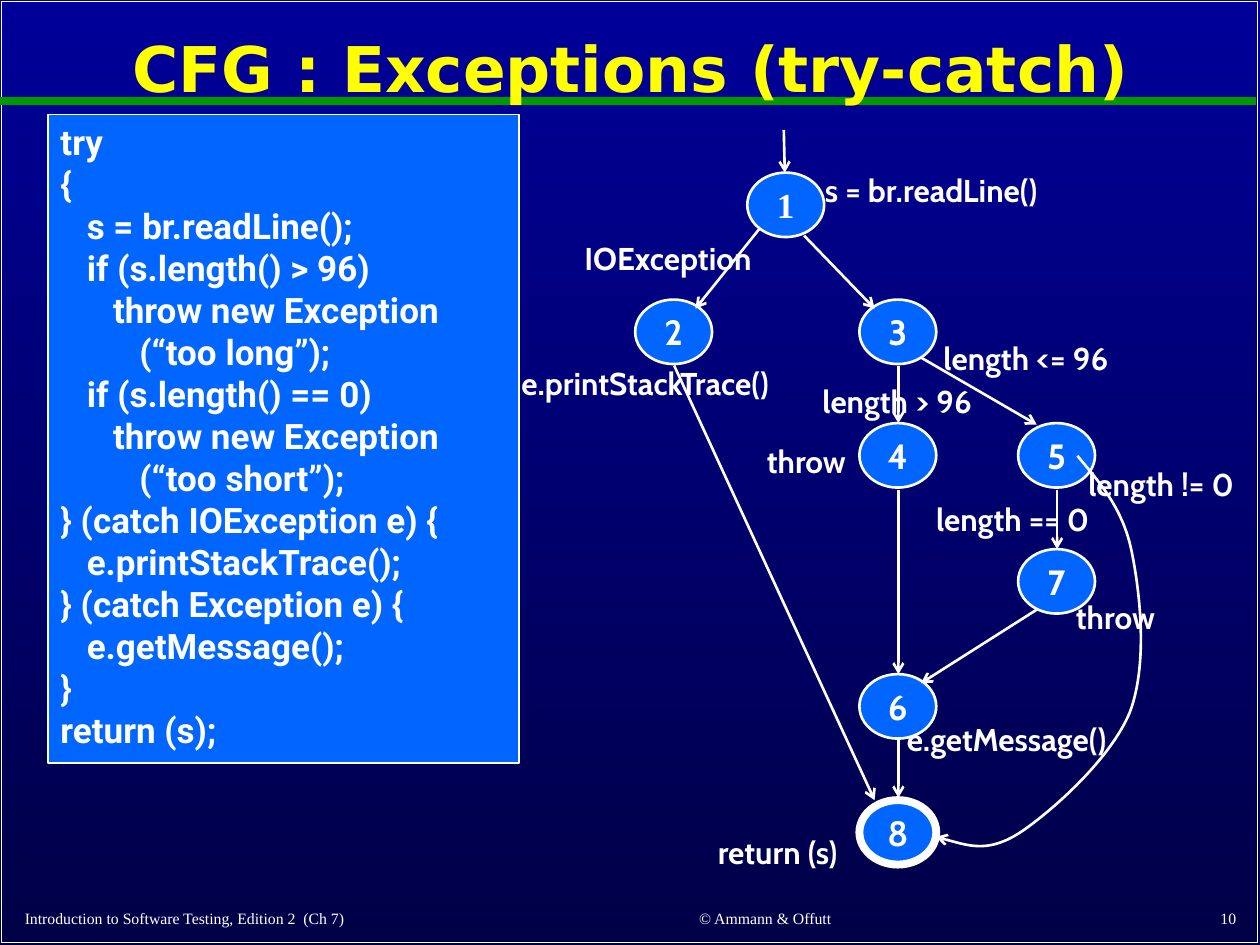
from pptx import Presentation
from pptx.dml.color import RGBColor
from pptx.enum.shapes import MSO_CONNECTOR as Connector, MSO_SHAPE as Shape
from pptx.enum.text import MSO_ANCHOR as Anchor, PP_ALIGN as Align
from pptx.oxml.ns import qn
from pptx.util import Cm, Pt
from lxml.etree import SubElement

WHITE, BLUE, GREEN, YELLOW = "FFFFFF", "0066FF", "009900", "FFFF00"
SERIF, LABEL, CODE, HEADING = "Times New Roman", "Cabin", "Roboto", "DejaVu Sans"
NODE_WIDTH, NODE_HEIGHT = 1.55, 1.3
INDENT = 0.53

# Centres of the graph nodes
NODES = {
    "1": (15.84, 4.13), "2": (13.58, 6.69), "3": (18.1, 6.69),
    "4": (18.1, 9.18), "5": (21.3, 9.18), "6": (18.1, 14.24),
    "7": (21.3, 11.72), "8": (18.1, 16.78),
}
EDGES = [
    (15.8, 2.62, 15.82, 3.48),
    (16.21, 4.75, 17.63, 6.22),
    (15.32, 4.6, 14.02, 6.22),
    (13.59, 7.37, 17.63, 16.13),
    (18.57, 7.21, 20.9, 8.56),
    (18.11, 7.37, 18.11, 8.53),
    (21.31, 9.88, 21.31, 11.07),
    (18.11, 9.88, 18.11, 13.59),
    (18.11, 14.88, 18.11, 16.08),
    (20.9, 12.29, 18.57, 13.77),
]
# Start point, then two control points and an end point per segment
RETURN_CURVE = [
    (21.72, 9.19),
    (22.17, 9.73), (22.63, 10.24), (22.81, 11.1),
    (22.99, 11.96), (23.14, 13.39), (22.78, 14.35),
    (22.4, 15.29), (21.23, 16.33), (20.6, 16.76),
    (19.94, 17.2), (19.41, 17.02), (18.87, 16.87),
]
LABELS = [
    ("s = br.readLine()", 16.38, 3.33, 5.46),
    ("IOException", 11.53, 4.7, 4.32),
    ("e.printStackTrace()", 10.26, 7.21, 6.3),
    ("length > 96", 16.33, 7.57, 3.81),
    ("length <= 96", 18.77, 6.71, 5.46),
    ("return (s)", 14.22, 16.66, 3.43),
    ("throw", 15.21, 8.79, 2.54),
    ("length == 0", 18.62, 9.96, 4.01),
    ("length != 0", 21.69, 9.25, 3.66),
    ("throw", 21.44, 11.94, 2.31),
    ("e.getMessage()", 18.03, 14.4, 5),
]
# Indent level and text of each code line
CODE_LINES = [
    (0, "try"),
    (0, "{"),
    (1, "s = br.readLine();"),
    (1, "if (s.length() > 96)"),
    (2, "throw new Exception"),
    (3, "(“too long”);"),
    (1, "if (s.length() == 0)"),
    (2, "throw new Exception"),
    (3, "(“too short”);"),
    (0, "} (catch IOException e) {"),
    (1, "e.printStackTrace();"),
    (0, "} (catch Exception e) {"),
    (1, "e.getMessage();"),
    (0, "}"),
    (0, "return (s);"),
]


def color(value):
    return RGBColor.from_string(value)


def style_paragraph(para, text, font, size, bold=True, fill=WHITE, align=Align.LEFT):
    para.text = text
    para.alignment = align
    para.font.name = font
    para.font.size = Pt(size)
    para.font.bold = bold
    para.font.color.rgb = color(fill)


def style_line(line, width, stroke=WHITE, arrow=False):
    line.color.rgb = color(stroke)
    line.width = Pt(width)
    if arrow:
        SubElement(line._get_or_add_ln(), qn("a:tailEnd"), type="arrow")


def add_text(page, text, left, top, width, height, font, size,
             anchor=Anchor.TOP, wrap=True, **style):
    box = page.shapes.add_textbox(Cm(left), Cm(top), Cm(width), Cm(height))
    box.text_frame.word_wrap = wrap
    box.text_frame.vertical_anchor = anchor
    para = box.text_frame.paragraphs[0]
    style_paragraph(para, text, font, size, **style)
    return para


def add_box(page, kind, left, top, width, height, line_width, fill=None):
    box = page.shapes.add_shape(kind, Cm(left), Cm(top), Cm(width), Cm(height))
    box.shadow.inherit = False
    if fill:
        box.fill.solid()
        box.fill.fore_color.rgb = color(fill)
    else:
        box.fill.background()
    style_line(box.line, line_width)
    return box


def add_line(page, x1, y1, x2, y2, width=1.5, stroke=WHITE, arrow=True):
    link = page.shapes.add_connector(Connector.STRAIGHT, Cm(x1), Cm(y1), Cm(x2), Cm(y2))
    style_line(link.line, width, stroke, arrow)
    SubElement(link._element.spPr, qn("a:effectLst"))


def add_curve(page, points):
    start, *rest = [(Cm(x), Cm(y)) for x, y in points]
    builder = page.shapes.build_freeform(*start)
    builder.add_line_segments(rest, close=False)
    curve = builder.convert_to_shape()
    # Merge every three straight steps into one cubic segment
    steps = curve._element.xpath(".//a:lnTo")
    for first, second, third in zip(steps[::3], steps[1::3], steps[2::3]):
        segment = SubElement(first.getparent(), qn("a:cubicBezTo"))
        for step in (first, second, third):
            segment.append(step[0])
            step.getparent().remove(step)
    curve.shadow.inherit = False
    curve.fill.background()
    style_line(curve.line, 1.5, arrow=True)


def add_node(page, name, center_x, center_y):
    node = add_box(page, Shape.OVAL, center_x - NODE_WIDTH / 2, center_y - NODE_HEIGHT / 2,
                   NODE_WIDTH, NODE_HEIGHT, 4.5 if name == "8" else 1.5, BLUE)
    node.text_frame.word_wrap = False
    node.text_frame.vertical_anchor = Anchor.MIDDLE
    style_paragraph(node.text_frame.paragraphs[0], name,
                    SERIF if name == "1" else LABEL, 20, align=Align.CENTER)


def add_code(page):
    box = add_box(page, Shape.RECTANGLE, 0.97, 2.31, 9.5, 13.08, 1, BLUE)
    frame = box.text_frame
    frame.vertical_anchor = Anchor.TOP
    for number, (level, text) in enumerate(CODE_LINES):
        para = frame.add_paragraph() if number else frame.paragraphs[0]
        style_paragraph(para, text, CODE, 20)
        para._p.get_or_add_pPr().set("marL", str(Cm(level * INDENT)))


def add_background(page):
    fill = page.background.fill
    fill.gradient()
    fill.gradient_angle = 270
    for stop, shade in zip(fill.gradient_stops, ("000099", "000047")):
        stop.color.rgb = color(shade)


def main():
    deck = Presentation()
    deck.slide_width, deck.slide_height = Cm(25.4), Cm(19.05)
    page = deck.slides.add_slide(deck.slide_layouts[6])

    # Frame, rule, footer and title
    add_background(page)
    add_box(page, Shape.RECTANGLE, 0.03, 0.03, 25.32, 18.97, 1)
    add_line(page, 0, 2.03, 25.32, 2.03, 4.5, GREEN, arrow=False)
    for text, left, width, align in (
        ("Introduction to Software Testing, Edition 2  (Ch 7)", 0.25, 10.44, Align.LEFT),
        ("© Ammann & Offutt", 11.4, 8.05, Align.CENTER),
        ("10", 19.89, 5.28, Align.RIGHT),
    ):
        add_text(page, text, left, 18.18, width, 0.67, SERIF, 9,
                 anchor=Anchor.MIDDLE, bold=False, align=align)
    title = add_text(page, "CFG : Exceptions (try-catch)", 0.2, 0.28, 25.02, 2.34, HEADING, 36,
                     anchor=Anchor.MIDDLE, fill=YELLOW, align=Align.CENTER)
    title.line_spacing = 0.9

    # Code and its control flow graph
    add_code(page)
    for name, center in NODES.items():
        add_node(page, name, *center)
    for edge in EDGES:
        add_line(page, *edge)
    add_curve(page, RETURN_CURVE)
    for text, left, top, width in LABELS:
        add_text(page, text, left, top, width, 1.02, LABEL, 18)

    deck.save("out.pptx")


main()
